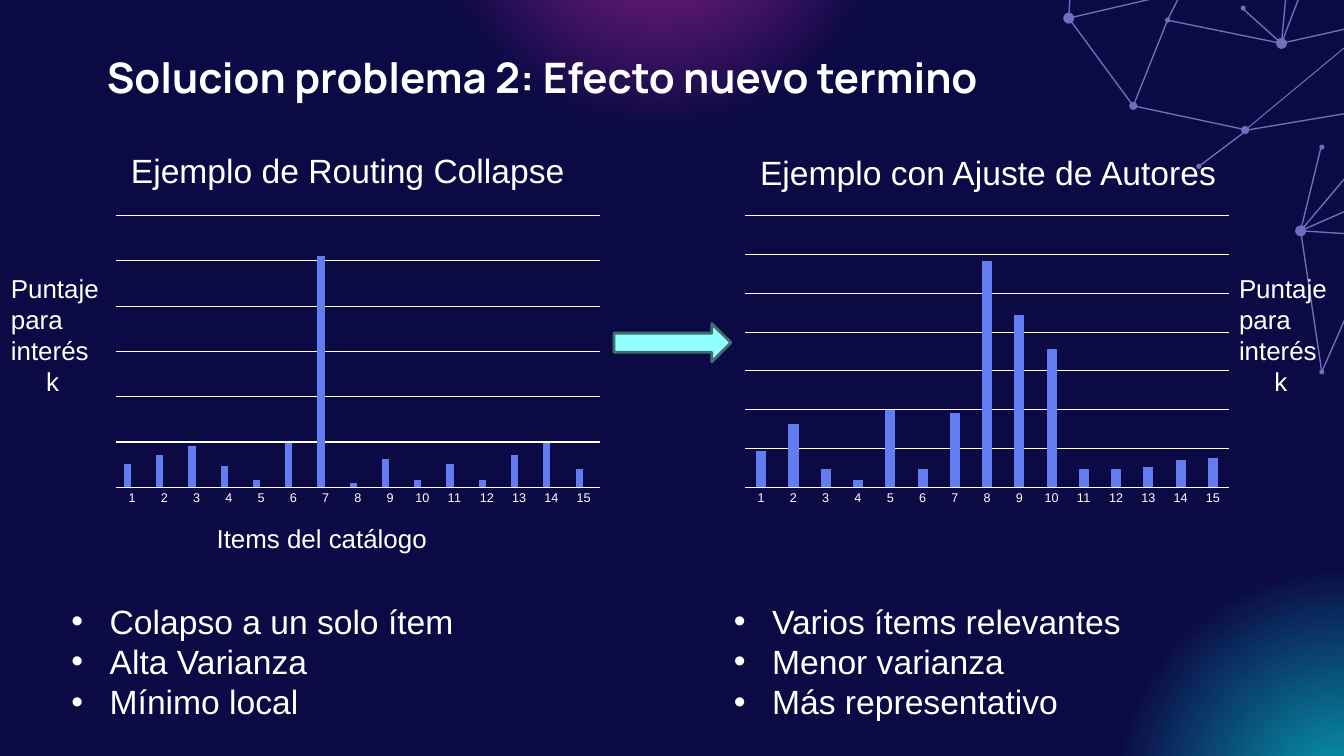
"""Build the slide comparing routing collapse with the author adjustment."""
from lxml import etree
from pptx import Presentation
from pptx.chart.data import CategoryChartData
from pptx.dml.color import RGBColor
from pptx.enum.chart import XL_CHART_TYPE, XL_TICK_MARK
from pptx.enum.shapes import MSO_CONNECTOR, MSO_SHAPE
from pptx.enum.text import MSO_ANCHOR, PP_ALIGN
from pptx.oxml import parse_xml
from pptx.oxml.ns import nsdecls, qn
from pptx.util import Inches, Pt

COLUMNS = XL_CHART_TYPE.COLUMN_CLUSTERED
NO_TICK = XL_TICK_MARK.NONE
STRAIGHT = MSO_CONNECTOR.STRAIGHT
OVAL, ARROW = MSO_SHAPE.OVAL, MSO_SHAPE.RIGHT_ARROW
TOP, LEFT = MSO_ANCHOR.TOP, PP_ALIGN.LEFT

NAVY = RGBColor(0x0C, 0x0A, 0x45)
WHITE = RGBColor(0xFF, 0xFF, 0xFF)
VIOLET = RGBColor(0x71, 0x6E, 0xBE)
PURPLE = RGBColor(0x94, 0x22, 0x90)
TEAL = RGBColor(0x07, 0xA0, 0xB3)
BLUE = RGBColor(0x63, 0x7C, 0xEF)
PINK = RGBColor(0xE3, 0x00, 0x8C)
AQUA = RGBColor(0x90, 0xFF, 0xFD)
DARK_AQUA = RGBColor(0x3F, 0x70, 0x6F)

W, H = 13.33, 7.5
TITLE = "Solucion problema 2: Efecto nuevo termino"
CATALOG_AXIS = "Items del catálogo"
SCORE_AXIS = ["Puntaje", "para", "interés k"]
CATEGORIES = [str(n) for n in range(1, 16)]
PANELS = [
    dict(heading="Ejemplo de Routing Collapse", heading_y=1.39, x=1.05,
         series=[[10, 14, 18, 9, 3, 19, 100, 2, 12, 3, 10, 3, 14, 19, 8],
                 [None] * 15],
         top=117.3, intervals=6, score_x=-0.14, list_x=0.46,
         points=["Colapso a un solo ítem", "Alta Varianza", "Mínimo local"]),
    dict(heading="Ejemplo con Ajuste de Autores", heading_y=1.41, x=7.29,
         series=[[16, 28, 8, 3, 34, 8, 33, 100, 76, 61, 8, 8, 9, 12, 13]],
         top=120, intervals=7, score_x=12.04, list_x=7.03,
         points=["Varios ítems relevantes", "Menor varianza",
                 "Más representativo"]),
]
GLOW_SIZE = 6.38
GLOWS = [(3.35, -4.19, PURPLE), (10.11, 4.69, TEAL)]
DOTS = [
    (11.58, 0.2, 0.05), (13.11, 3.69, 0.05), (13.11, 1.46, 0.05),
    (12.33, 0.08, 0.05), (11.89, 1.65, 0.05), (11.24, 1.05, 0.08),
    (12.35, 1.29, 0.08), (12.9, 2.29, 0.11), (12.71, 0.43, 0.11),
    (10.6, 0.18, 0.11),
]
POINTS = {
    "a": (10.6, 0.18), "b": (11.24, 1.05), "c": (11.58, 0.2),
    "d": (12.71, 0.43), "e": (12.32, 0.08), "f": (12.37, 1.29),
    "g": (11.89, 1.65), "h": (12.9, 2.29), "i": (13.1, 1.47),
    "j": (13.11, 3.69), "k": (11.72, -0.08), "l": (12.44, -1.07),
    "m": (11.38, -1), "n": (10.41, -2.16), "o": (11.53, -2.26),
    "p": (10.65, -0.65), "q": (13.6, 1.46), "r": (14.38, 1.64),
    "s": (14.04, 1.01), "t": (13.7, 2.34), "u": (13.56, 0.24),
    "v": (13.63, -0.29), "w": (13.24, -0.95), "x": (12.86, -1.18),
    "y": (14.4, 0.44), "z": (14.56, 0.95), "A": (14.1, -0.26),
    "B": (9.98, -0.88), "C": (10.11, -1.41),
}
THREADS = ["bc", "aklmk", "nompkcde", "fg", "qhrqsrthjt", "uvwduwxd",
           "yzsyAsfbapBCp", "hi"]
LONE_LINE = (13.58, 0.27, 12.35, 1.29)


def write(sp, lines, size=24, font="Arial", bold=False, margin=0, indent=0,
          bullet=False):
    """Fill a shape with paragraphs in one format."""
    tf = sp.text_frame
    tf.word_wrap = True
    tf.vertical_anchor = TOP
    tf.margin_left = tf.margin_right = Inches(0.1)
    tf.margin_top = tf.margin_bottom = Inches(0.1)
    for n, line in enumerate(lines):
        p = tf.add_paragraph() if n else tf.paragraphs[0]
        p.alignment, p.line_spacing = LEFT, 1.0
        pPr = p._p.get_or_add_pPr()
        pPr.set("marL", str(Inches(margin)))
        pPr.set("indent", str(Inches(indent)))
        if bullet:
            etree.SubElement(pPr, qn("a:buFont")).set("typeface", "Arial")
            etree.SubElement(pPr, qn("a:buChar")).set("char", "•")
        r = p.add_run()
        r.text = line
        r.font.size, r.font.name, r.font.bold = Pt(size), font, bold
        r.font.color.rgb = WHITE


def add_text(s, x, y, w, h, lines, **fmt):
    """Add a text box."""
    write(s.shapes.add_textbox(*map(Inches, (x, y, w, h))), lines, **fmt)


def add_shape(s, kind, x, y, w, h, color, line=None):
    """Add a flat filled shape."""
    sp = s.shapes.add_shape(kind, *map(Inches, (x, y, w, h)))
    sp.shadow.inherit = False
    sp.fill.solid()
    sp.fill.fore_color.rgb = color
    if line:
        sp.line.color.rgb, sp.line.width = line, Pt(2)
    else:
        sp.line.fill.background()
    return sp


def add_glow(s, x, y, color):
    """Add a circle that fades out from its centre."""
    sp = add_shape(s, OVAL, x, y, GLOW_SIZE, GLOW_SIZE, color)
    stops = "".join(
        f'<a:gs pos="{pos}"><a:srgbClr val="{color}">'
        f'<a:alpha val="{alpha}"/></a:srgbClr></a:gs>'
        for pos, alpha in ((0, 100000), (50000, 0), (100000, 0)))
    grad = parse_xml(
        f'<a:gradFill {nsdecls("a")}><a:gsLst>{stops}</a:gsLst>'
        '<a:path path="circle"><a:fillToRect l="50000" t="50000" '
        'r="50000" b="50000"/></a:path></a:gradFill>')
    spPr = sp._element.spPr
    spPr.replace(spPr.find(qn("a:solidFill")), grad)


def add_network(s):
    """Draw the threads and the dots in the corner."""
    for thread in THREADS:
        start, *rest = [tuple(map(Inches, POINTS[name])) for name in thread]
        outline = s.shapes.build_freeform(*start)
        outline.add_line_segments(rest, close=False)
        sp = outline.convert_to_shape()
        sp.shadow.inherit = False
        sp.fill.background()
        sp.line.color.rgb, sp.line.width = VIOLET, Pt(0.95)
    c = s.shapes.add_connector(STRAIGHT, *map(Inches, LONE_LINE))
    c.line.color.rgb, c.line.width = VIOLET, Pt(0.75)
    etree.SubElement(c._element.spPr, qn("a:effectLst"))
    for x, y, d in DOTS:
        add_shape(s, OVAL, x - d / 2, y - d / 2, d, d, VIOLET)


def add_columns(s, x, series, top, intervals):
    """Add a column chart with a hidden value axis."""
    data = CategoryChartData()
    data.categories = CATEGORIES
    for n, values in enumerate(series, 1):
        data.add_series(f"Series {n}", values)
    chart = s.shapes.add_chart(
        COLUMNS, *map(Inches, (x, 2.08, 5, 3)), data).chart
    chart.has_legend = chart.has_title = False
    chart.font.size, chart.font.name = Pt(10), "Arial"
    chart.font.color.rgb = WHITE
    plot = chart.plots[0]
    plot.vary_by_categories = False
    plot.gap_width, plot.overlap = 219, -27
    for ser, color in zip(plot.series, (BLUE, PINK)):
        ser.format.fill.solid()
        ser.format.fill.fore_color.rgb = color
    cat, val = chart.category_axis, chart.value_axis
    cat.major_tick_mark = cat.minor_tick_mark = NO_TICK
    cat.tick_labels.font.size, cat.tick_labels.font.name = Pt(9), "Arial"
    cat.tick_labels.font.color.rgb = WHITE
    val.minimum_scale, val.maximum_scale = 0, top
    val.major_unit = round(top / intervals, 2)
    val.has_major_gridlines = True
    val.visible = False
    for line in (cat.format.line, val.major_gridlines.format.line):
        line.color.rgb, line.width = WHITE, Pt(0.75)


def main():
    """Compose and save the slide."""
    prs = Presentation()
    prs.slide_width, prs.slide_height = Inches(W), Inches(H)
    s = prs.slides.add_slide(prs.slide_layouts[5])
    s.background.fill.solid()
    s.background.fill.fore_color.rgb = NAVY
    for glow in GLOWS:
        add_glow(s, *glow)
    add_network(s)
    for panel in PANELS:
        x = panel["x"]
        add_columns(s, x, panel["series"], panel["top"], panel["intervals"])
        add_text(s, x, panel["heading_y"], 5.79, 0.47, [panel["heading"]],
                 margin=0.15)
        add_text(s, panel["score_x"], 2.6, 1.29, 1.16, SCORE_AXIS,
                 size=18.5, margin=0.5, indent=-0.35)
        add_text(s, panel["list_x"], 5.86, 5.79, 0.47, panel["points"],
                 margin=0.53, indent=-0.38, bullet=True)
    add_text(s, 1.9, 5.08, 5.04, 0.48, [CATALOG_AXIS],
             size=18.5, margin=0.5, indent=-0.35)
    add_shape(s, ARROW, 6.09, 3.21, 1.16, 0.38, AQUA, line=DARK_AQUA)
    title = s.shapes.title
    title.left, title.top = Inches(0.96), Inches(0.41)
    title.width, title.height = Inches(11.23), Inches(0.84)
    write(title, [TITLE], size=30, font="Manrope", bold=True)
    s.shapes._spTree.append(title._element)
    prs.save("out.pptx")


if __name__ == "__main__":
    main()
